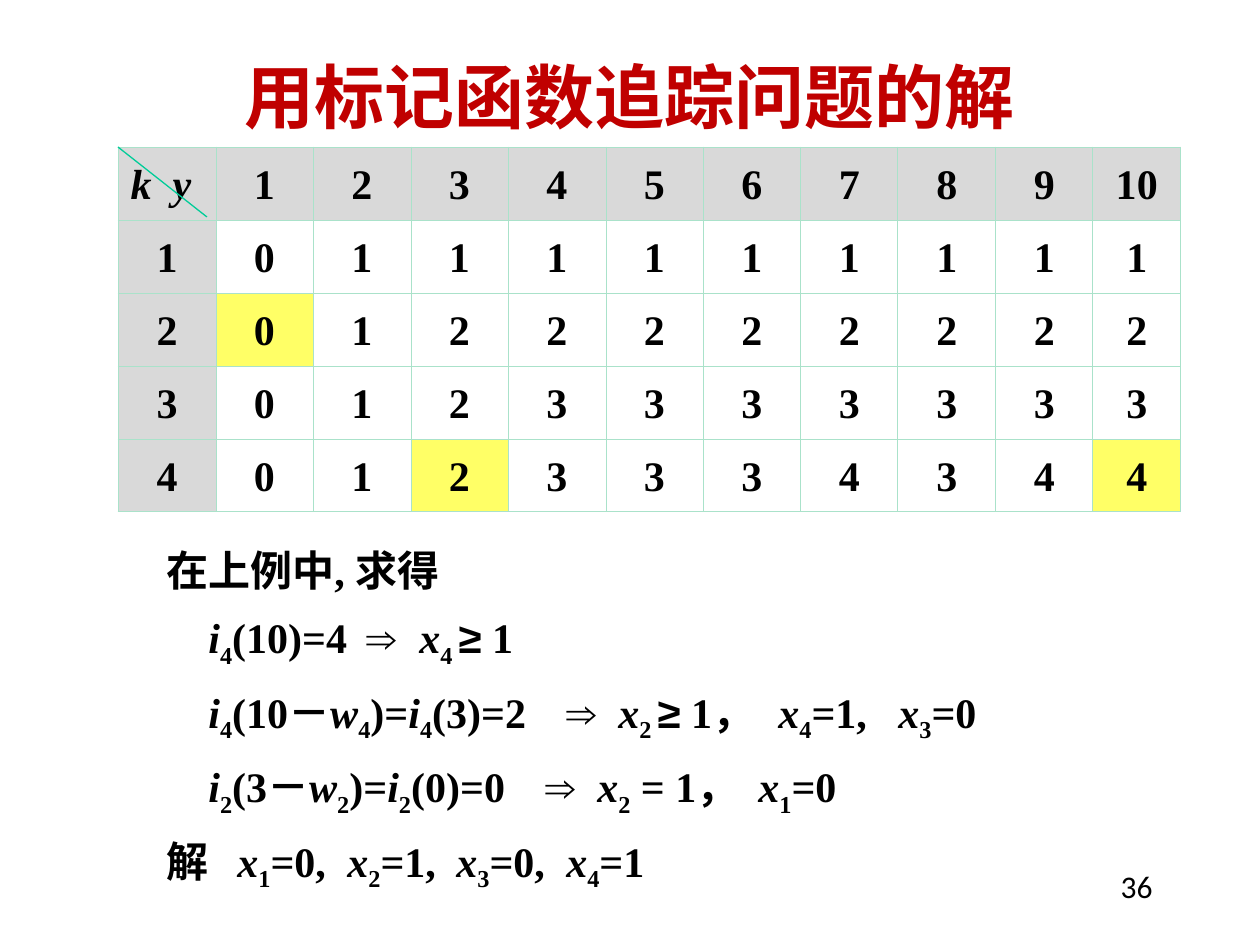
from itertools import groupby

from lxml import etree
from pptx import Presentation
from pptx.dml.color import RGBColor
from pptx.enum.shapes import MSO_CONNECTOR
from pptx.enum.text import MSO_ANCHOR, PP_ALIGN
from pptx.oxml.ns import qn
from pptx.util import Pt

PX = 914400 / 126
LEFT, CENTER, RIGHT = PP_ALIGN.LEFT, PP_ALIGN.CENTER, PP_ALIGN.RIGHT
STRAIGHT, MIDDLE = MSO_CONNECTOR.STRAIGHT, MSO_ANCHOR.MIDDLE


class Theme:
    text = RGBColor.from_string("000000")
    title = RGBColor.from_string("C00000")
    header = RGBColor.from_string("D9D9D9")
    marked = RGBColor.from_string("FFFF66")
    diagonal = RGBColor.from_string("00CC98")
    border = "AAE2CA"
    serif, symbol, number = "Times New Roman", "Arial", "Calibri"
    title_size, body_size, number_size = Pt(40), Pt(24), Pt(18)


def px(*lengths):
    return [round(n * PX) for n in lengths]


def write_formula(p, source, stops=()):
    """Letters are italic variables; _ lowers the next character."""
    pPr = p._p.get_or_add_pPr()
    if stops:
        tabs = etree.SubElement(pPr, qn("a:tabLst"))
        for stop in px(*stops):
            etree.SubElement(tabs, qn("a:tab"), pos=str(stop), algn="l")
    styled, lowered = [], False
    for ch in source:
        if ch == "_":
            lowered = True
            continue
        font = Theme.symbol if ch in "⇒≥" else Theme.serif
        styled.append((ch, ("a" <= ch <= "z", lowered, font)))
        lowered = False
    for (italic, sub, font), group in groupby(styled, key=lambda item: item[1]):
        r = p.add_run()
        r.text = "".join(ch for ch, _ in group)
        r.font.name, r.font.size = font, Theme.body_size
        r.font.bold, r.font.italic = True, italic
        r.font.color.rgb = Theme.text
        if sub:
            r._r.get_or_add_rPr().set("baseline", "-25000")


prs = Presentation()
prs.slide_width, prs.slide_height = px(1260, 945)
s = prs.slides.add_slide(prs.slide_layouts[5])

# Title
title = s.shapes.title
title.left, title.top, title.width, title.height = px(94, 16, 1071, 158)
tf = title.text_frame
tf.text = "用标记函数追踪问题的解"
tf.vertical_anchor = MIDDLE
p = tf.paragraphs[0]
p.alignment = CENTER
font = p.runs[0].font
font.name, font.size, font.bold = Theme.serif, Theme.title_size, True
font.color.rgb = Theme.title

# Table of marks: k down, y across
rows = [
    ["k\ty", *range(1, 11)],
    [1, 0] + [1] * 9,
    [2, 0, 1] + [2] * 8,
    [3, 0, 1, 2] + [3] * 7,
    [4, 0, 1, 2, 3, 3, 3, 4, 3, 4, 4],
]
traced = {(2, 1), (4, 3), (4, 10)}
widths = [98, 97] * 5 + [88]
frame = s.shapes.add_table(len(rows), len(widths), *px(118, 147, sum(widths), 73 * len(rows)))
table = frame.table
table.first_row = table.horz_banding = False
for column, width in zip(table.columns, px(*widths)):
    column.width = width
for i, values in enumerate(rows):
    table.rows[i].height = px(73)[0]
    for j, value in enumerate(values):
        cell = table.cell(i, j)
        corner = i == j == 0
        p = cell.text_frame.paragraphs[0]
        p.alignment = LEFT if corner else CENTER
        p.line_spacing = 1.2
        write_formula(p, str(value), [42] if corner else [])
        tcPr = cell._tc.get_or_add_tcPr()
        for side in ("lnL", "lnR", "lnT", "lnB"):
            ln = etree.SubElement(tcPr, qn(f"a:{side}"), w=str(Pt(0.45)))
            fill = etree.SubElement(ln, qn("a:solidFill"))
            etree.SubElement(fill, qn("a:srgbClr"), val=Theme.border)
        if (i, j) in traced or i == 0 or j == 0:
            cell.fill.solid()
            cell.fill.fore_color.rgb = Theme.marked if (i, j) in traced else Theme.header
        else:
            cell.fill.background()

# Diagonal of the corner cell
diagonal = s.shapes.add_connector(STRAIGHT, *px(118, 147, 207, 217))
diagonal.line.color.rgb = Theme.diagonal
diagonal.line.width = Pt(0.75)
etree.SubElement(diagonal._element.spPr, qn("a:effectLst"))

# Tracing steps, with tab stops measured from the text edge
steps = [
    ("在上例中, 求得", []),
    ("\ti_4(10)=4\t⇒\tx_4_ ≥ 1", [42, 200, 253]),
    ("\ti_4(10－w_4)=i_4(3)=2\t⇒\tx_2_ ≥ 1，\tx_4=1,\tx_3=0", [42, 400, 452, 612, 732]),
    ("\ti_2(3－w_2)=i_2(0)=0\t⇒\tx_2 = 1，\tx_1=0", [42, 379, 431, 592]),
    ("解\tx_1=0,\tx_2=1,\tx_3=0,\tx_4=1", [71, 181, 290, 400]),
]
tf = s.shapes.add_textbox(*px(154, 523, 1008, 377)).text_frame
tf.word_wrap = True
for i, (source, stops) in enumerate(steps):
    p = tf.add_paragraph() if i else tf.paragraphs[0]
    p.line_spacing = 1.3
    write_formula(p, source, stops)

# Slide number
tf = s.shapes.add_textbox(*px(903, 861, 262, 63)).text_frame
tf.word_wrap = True
tf.text = "36"
p = tf.paragraphs[0]
p.alignment = RIGHT
font = p.runs[0].font
font.name, font.size = Theme.number, Theme.number_size
font.color.rgb = Theme.text

prs.save("out.pptx")
